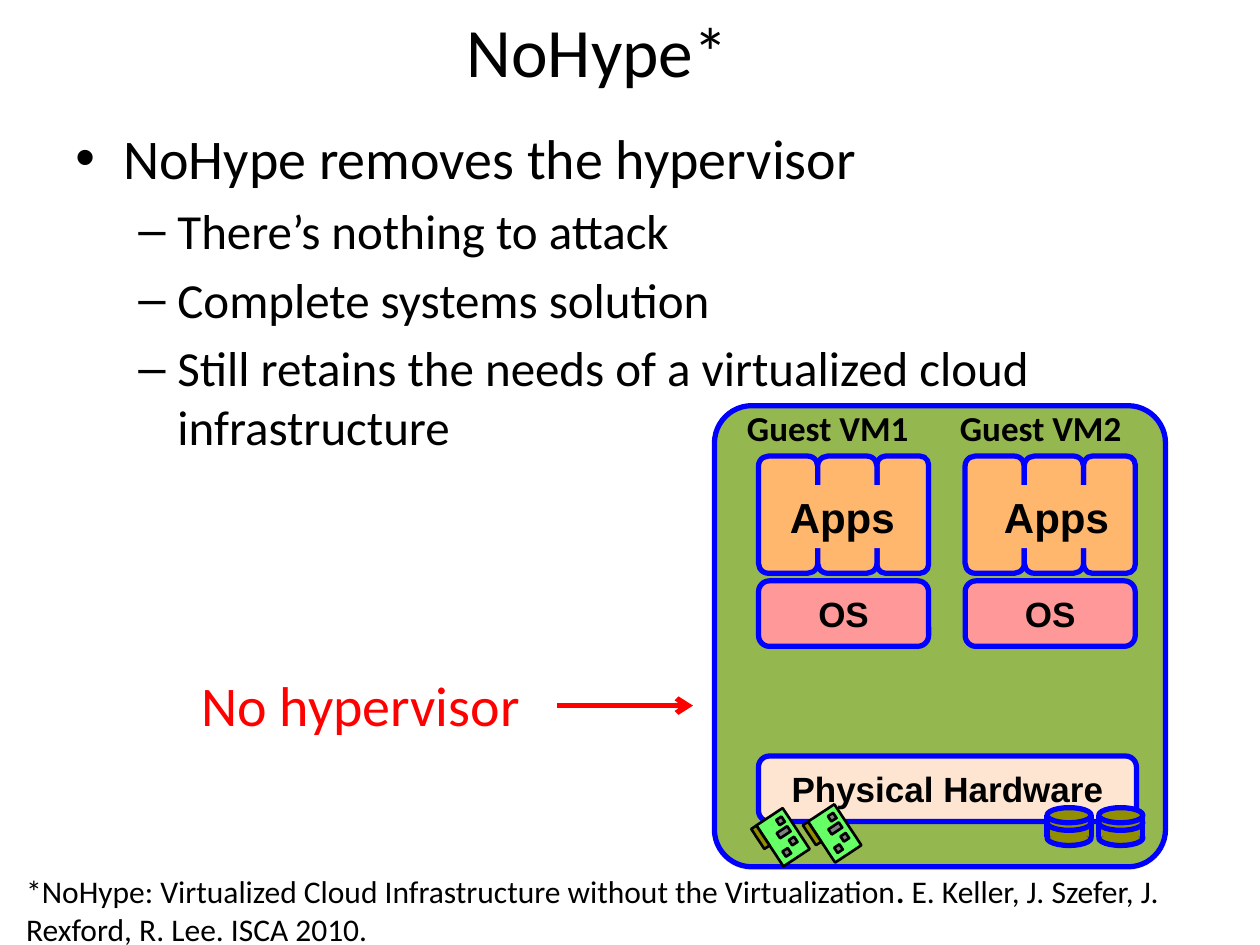
from lxml import etree
from pptx import Presentation
from pptx.dml.color import RGBColor
from pptx.enum.shapes import MSO_CONNECTOR, MSO_SHAPE
from pptx.enum.text import MSO_ANCHOR, PP_ALIGN
from pptx.oxml.ns import qn
from pptx.util import Inches, Pt

BLACK = RGBColor(0x00, 0x00, 0x00)
BLUE = RGBColor(0x00, 0x00, 0xFF)
RED = RGBColor(0xFF, 0x00, 0x00)
GREEN = RGBColor(0x95, 0xB7, 0x4F)
PEACH = RGBColor(0xFD, 0xE5, 0xD1)
PINK = RGBColor(0xFF, 0x99, 0x99)
ORANGE = RGBColor(0xFF, 0xB6, 0x6D)
OLIVE = RGBColor(0x91, 0x8E, 0x00)
CARD_GREEN = RGBColor(0x66, 0xFF, 0x66)
GRAY = RGBColor(0x80, 0x80, 0x80)

RECT, ROUND, OVAL = MSO_SHAPE.RECTANGLE, MSO_SHAPE.ROUNDED_RECTANGLE, MSO_SHAPE.OVAL
STRAIGHT = MSO_CONNECTOR.STRAIGHT
LEFT, CENTER = PP_ALIGN.LEFT, PP_ALIGN.CENTER
TOP, MIDDLE = MSO_ANCHOR.TOP, MSO_ANCHOR.MIDDLE

CARD_TILT = 326.6


def add_span(para, text, size, font="Calibri", color=BLACK, bold=False):
    """Append one formatted run to a paragraph."""
    span = para.add_run()
    span.text = text
    span.font.size = Pt(size)
    span.font.name = font
    span.font.color.rgb = color
    span.font.bold = bold


def add_block(shapes, kind, left, top, width, height, fill, line=BLUE, weight=3):
    """Add a filled preset shape, outlined unless line is None."""
    block = shapes.add_shape(kind, Inches(left), Inches(top), Inches(width), Inches(height))
    block.shadow.inherit = False
    block.fill.solid()
    block.fill.fore_color.rgb = fill
    if line is None:
        block.line.fill.background()
    else:
        block.line.color.rgb = line
        block.line.width = Pt(weight)
    return block


def label_block(block, text, size, align=CENTER, anchor=MIDDLE):
    """Write a bold Arial label inside a block."""
    frame = block.text_frame
    frame.word_wrap = True
    frame.vertical_anchor = anchor
    frame.paragraphs[0].alignment = align
    add_span(frame.paragraphs[0], text, size, "Arial", bold=True)


def add_text(page, left, top, width, height, spans, size, color=BLACK, align=LEFT, anchor=TOP):
    """Add a one-paragraph text box from (text, bold) pairs."""
    box = page.shapes.add_textbox(Inches(left), Inches(top), Inches(width), Inches(height))
    frame = box.text_frame
    frame.word_wrap = True
    frame.vertical_anchor = anchor
    frame.paragraphs[0].alignment = align
    for text, bold in spans:
        add_span(frame.paragraphs[0], text, size, color=color, bold=bold)


def add_line(page, start, end, color):
    """Add a straight three-point line without a shadow."""
    ends = [Inches(value) for value in (*start, *end)]
    line = page.shapes.add_connector(STRAIGHT, *ends)
    line.line.color.rgb = color
    line.line.width = Pt(3)
    etree.SubElement(line._element.spPr, qn("a:effectLst"))
    return line


def add_bullets(page, left, top, width, height, items):
    """Add a bulleted list from (level, text) pairs."""
    styles = [("•", 32, 0.38, 0.38), ("–", 28, 0.81, 0.31)]
    box = page.shapes.add_textbox(Inches(left), Inches(top), Inches(width), Inches(height))
    frame = box.text_frame
    frame.word_wrap = True
    for index, (level, text) in enumerate(items):
        mark, size, margin, hanging = styles[level]
        para = frame.add_paragraph() if index else frame.paragraphs[0]
        para.level = level
        para.space_before = Pt(size * 0.2)
        props = para._p.get_or_add_pPr()
        props.set("marL", str(Inches(margin)))
        props.set("indent", str(-Inches(hanging)))
        etree.SubElement(props, qn("a:buFont")).set("typeface", "Arial")
        etree.SubElement(props, qn("a:buChar")).set("char", mark)
        add_span(para, text, size)


def add_guest(page, left, top, name, name_shift, apps_shift):
    """Add a guest machine: its name, three app tiles and an operating system."""
    add_text(page, left + name_shift, top - 0.44, 1.65, 0.44, [(name, True)], 20)
    for shift, width in ((0, 0.47), (0.94, 0.41), (0.47, 0.47)):
        add_block(page.shapes, ROUND, left + shift, top, width, 0.93, ORANGE)
    apps = add_block(page.shapes, RECT, left + apps_shift, top + 0.23, 1.04, 0.5, ORANGE, None)
    label_block(apps, "Apps", 24, LEFT, TOP)
    system = add_block(page.shapes, ROUND, left, top + 0.99, 1.35, 0.52, PINK)
    label_block(system, "OS", 20)


def add_disk(page, left, top):
    """Add a disk drawn as a stacked cylinder."""
    width, upper, lower = 0.35, top + 0.06, top + 0.23
    add_block(page.shapes, OVAL, left, top + 0.18, width, 0.12, OLIVE)
    add_block(page.shapes, RECT, left, upper, width, 0.17, OLIVE, None)
    for side in (left, left + width):
        add_line(page, (side, upper), (side, lower), BLUE)
    for rim in (upper, top):
        add_block(page.shapes, OVAL, left, rim, width, 0.12, OLIVE)


def add_card(page, left, top):
    """Add a tilted expansion card as a group."""
    card = page.shapes.add_group_shape()
    parts = [
        (0.08, 0, 0.25, 0.39, CARD_GREEN),
        (0, 0.1, 0.05, 0.19, OLIVE),
        (0.16, 0.04, 0.05, 0.05, GRAY),
        (0.26, 0.2, 0.05, 0.05, GRAY),
        (0.16, 0.13, 0.1, 0.05, GRAY),
        (0.21, 0.29, 0.05, 0.05, GRAY),
    ]
    for shift, drop, width, height, fill in parts:
        part = add_block(card.shapes, RECT, left + shift, top + drop, width, height,
                         fill, BLACK, 1.5)
        part.rotation = CARD_TILT


def add_host(page, left, top, width, height):
    """Add the server with its guests, hardware and devices."""
    host = add_block(page.shapes, ROUND, left, top, width, height, GREEN)
    host.adjustments[0] = 0.083
    hardware = add_block(page.shapes, ROUND, left + 0.35, top + 2.78, 3, 0.52, PEACH)
    label_block(hardware, "Physical Hardware", 20)
    add_guest(page, left + 0.35, top + 0.4, "Guest VM1", -0.19, 0.15)
    add_guest(page, left + 1.99, top + 0.4, "Guest VM2", -0.14, 0.21)
    for shift in (2.64, 3.05):
        add_disk(page, left + shift, top + 3.19)
    for shift, drop in ((0.75, 3.2), (0.34, 3.23)):
        add_card(page, left + shift, top + drop)


def add_callout(page, left, top, width, height):
    """Add the red remark and the arrow towards the server."""
    add_text(page, left, top, width, height, [("No hypervisor", False)], 32, RED)
    level = top + 0.33
    arrow = add_line(page, (left + 2.92, level), (left + 4, level), RED)
    etree.SubElement(arrow.line._get_or_add_ln(), qn("a:tailEnd")).set("type", "arrow")


def main():
    """Build and save the one-page deck."""
    deck = Presentation()
    deck.slide_width, deck.slide_height = Inches(10), Inches(7.5)
    page = deck.slides.add_slide(deck.slide_layouts[6])
    add_text(page, 0.33, 0.02, 8.82, 0.75, [("NoHype*", False)], 39.6, BLACK, CENTER, MIDDLE)
    add_bullets(page, 0.5, 0.93, 9.25, 6, [
        (0, "NoHype removes the hypervisor"),
        (1, "There’s nothing to attack"),
        (1, "Complete systems solution"),
        (1, "Still retains the needs of a virtualized cloud infrastructure"),
    ])
    add_host(page, 5.67, 3.22, 3.58, 3.66)
    add_callout(page, 1.5, 5.27, 2.97, 0.64)
    add_text(page, 0.11, 6.87, 9.64, 0.63, [
        ("*NoHype: Virtualized Cloud Infrastructure without the Virtualization", False),
        (". ", True),
        ("E. Keller, J. Szefer, J. Rexford, R. Lee. ISCA 2010.", False),
    ], 18)
    deck.save("out.pptx")


if __name__ == "__main__":
    main()
